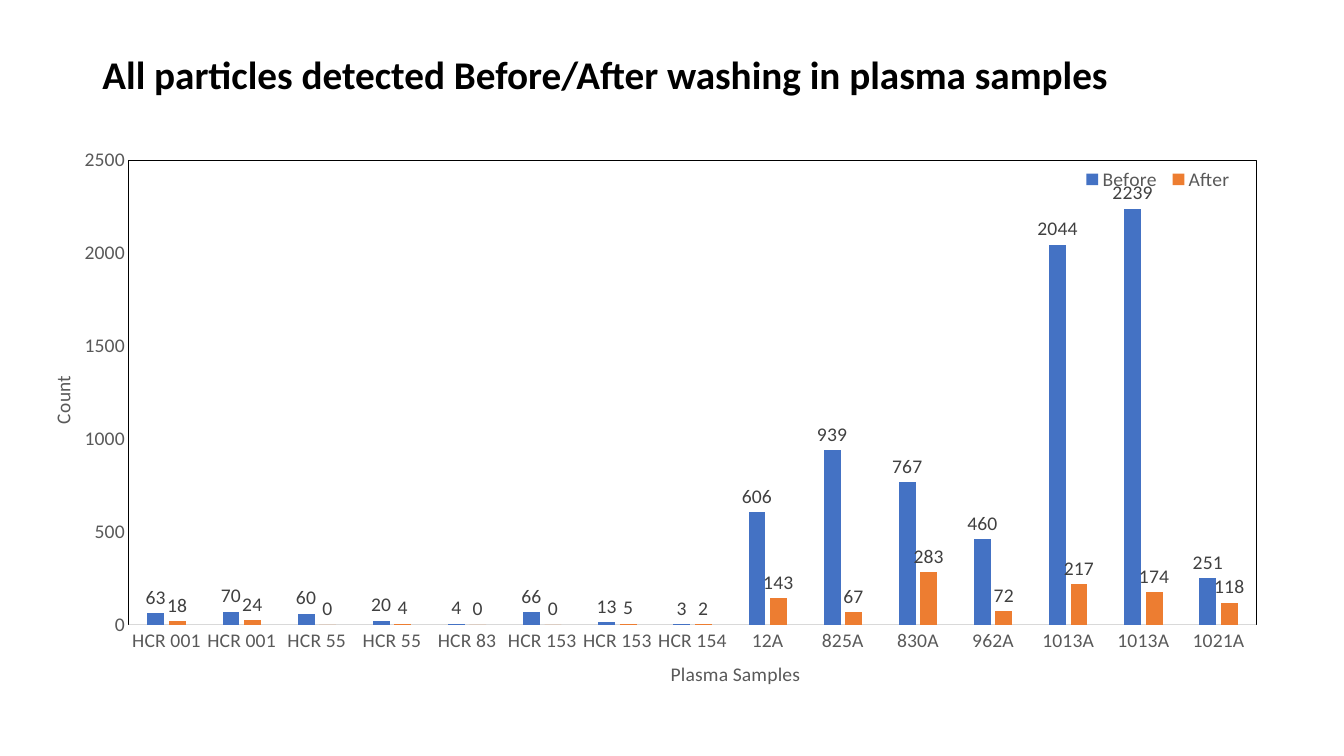
from dataclasses import dataclass

from lxml.etree import SubElement
from pptx import Presentation
from pptx.chart.data import CategoryChartData
from pptx.dml.color import RGBColor
from pptx.enum.chart import XL_CHART_TYPE as Chart, XL_LABEL_POSITION as LabelPos
from pptx.enum.chart import XL_LEGEND_POSITION as LegendPos, XL_TICK_MARK as Tick
from pptx.enum.text import MSO_ANCHOR as Anchor, PP_ALIGN as Align
from pptx.oxml import parse_xml
from pptx.oxml.ns import nsdecls, qn
from pptx.util import Pt

TITLE = "All particles detected Before/After washing in plasma samples"
AXIS_TITLES = {"x": "Plasma Samples", "y": "Count"}
SAMPLES = [
    ("HCR 001", 63, 18), ("HCR 001", 70, 24), ("HCR 55", 60, 0),
    ("HCR 55", 20, 4), ("HCR 83", 4, 0), ("HCR 153", 66, 0),
    ("HCR 153", 13, 5), ("HCR 154", 3, 2), ("12A", 606, 143),
    ("825A", 939, 67), ("830A", 767, 283), ("962A", 460, 72),
    ("1013A", 2044, 217), ("1013A", 2239, 174), ("1021A", 251, 118),
]
SERIES = ["Before", "After"]


@dataclass(frozen=True)
class Theme:
    font: str = "Calibri"
    black: str = "000000"
    text: str = "595959"
    label: str = "404040"
    axis: str = "D9D9D9"
    bars: tuple = ("4472C4", "ED7D31")
    title_size: int = 28
    chart_size: int = 14
    line: float = 0.75


theme = Theme()


def style(font, size, color, bold=False):
    font.name, font.size, font.bold = theme.font, Pt(size), bold
    font.color.rgb = RGBColor.from_string(color)


def set_layout(parent, index, **values):
    for old in parent.findall(qn("c:layout")):
        parent.remove(old)
    layout = parse_xml(f"<c:layout {nsdecls('c')}><c:manualLayout/></c:layout>")
    for key, value in values.items():
        SubElement(layout[0], qn(f"c:{key}")).set("val", str(value))
    parent.insert(index, layout)


def add_title(s):
    sp = s.shapes.title
    sp.left, sp.top, sp.width, sp.height = Pt(66), Pt(26.64), Pt(828), Pt(56.16)
    tf = sp.text_frame
    tf.word_wrap, tf.vertical_anchor = True, Anchor.MIDDLE
    p = tf.paragraphs[0]
    p.alignment, p.line_spacing = Align.LEFT, 0.9
    r = p.add_run()
    r.text = TITLE
    style(r.font, theme.title_size, theme.black, True)


def format_axis(axis, title, x, y):
    axis.has_major_gridlines = False
    axis.major_tick_mark = axis.minor_tick_mark = Tick.NONE
    style(axis.tick_labels.font, theme.chart_size, theme.text)
    r = axis.axis_title.text_frame.paragraphs[0].add_run()
    r.text = title
    style(r.font, theme.chart_size, theme.text)
    element = axis.axis_title.format and axis.axis_title.element if hasattr(
        axis.axis_title, "element") else axis.axis_title._element
    set_layout(element, 1, xMode="edge", yMode="edge", x=x, y=y)


def add_chart(s):
    data = CategoryChartData()
    names, *counts = zip(*SAMPLES)
    data.categories = names
    for name, values in zip(SERIES, counts):
        data.add_series(name, values)
    chart = s.shapes.add_chart(Chart.COLUMN_CLUSTERED, Pt(23.76), Pt(105.12),
                               Pt(887.76), Pt(389.52), data).chart
    chart.has_title = False
    style(chart.font, theme.chart_size, theme.text)

    plot = chart.plots[0]
    plot.gap_width, plot.overlap, plot.vary_by_categories = 219, -27, False
    for series, color in zip(plot.series, theme.bars):
        series.format.fill.solid()
        series.format.fill.fore_color.rgb = RGBColor.from_string(color)
        series.invert_if_negative = False
        labels = series.data_labels
        labels.show_value, labels.position = True, LabelPos.OUTSIDE_END
        style(labels.font, theme.chart_size, theme.label)

    samples, count = chart.category_axis, chart.value_axis
    format_axis(samples, AXIS_TITLES["x"], 0.51, 0.95)
    format_axis(count, AXIS_TITLES["y"], 0.01, 0.42)
    samples.format.line.color.rgb = RGBColor.from_string(theme.axis)
    samples.format.line.width = Pt(theme.line)
    count.minimum_scale, count.maximum_scale, count.major_unit = 0, 2500, 500
    count.format.line.fill.background()

    chart.has_legend = True
    chart.legend.position = LegendPos.BOTTOM
    chart.legend.include_in_layout = False
    style(chart.legend.font, theme.chart_size, theme.text)
    legend = chart.element.find(".//" + qn("c:legend"))
    set_layout(legend, 1, xMode="edge", yMode="edge", x=0.84, y=0.03, w=0.13, h=0.06)

    area = chart.element.find(".//" + qn("c:plotArea"))
    set_layout(area, 0, layoutTarget="inner", xMode="edge", yMode="edge",
               x=0.077, y=0.024, w=0.907, h=0.866)
    area.append(parse_xml(
        f'<c:spPr {nsdecls("c", "a")}><a:noFill/><a:ln w="{Pt(theme.line)}"><a:solidFill>'
        f'<a:srgbClr val="{theme.black}"/></a:solidFill></a:ln></c:spPr>'))


def main():
    prs = Presentation()
    prs.slide_width, prs.slide_height = Pt(960), Pt(540)
    s = prs.slides.add_slide(prs.slide_layouts[5])
    add_title(s)
    add_chart(s)
    prs.save("out.pptx")


if __name__ == "__main__":
    main()
